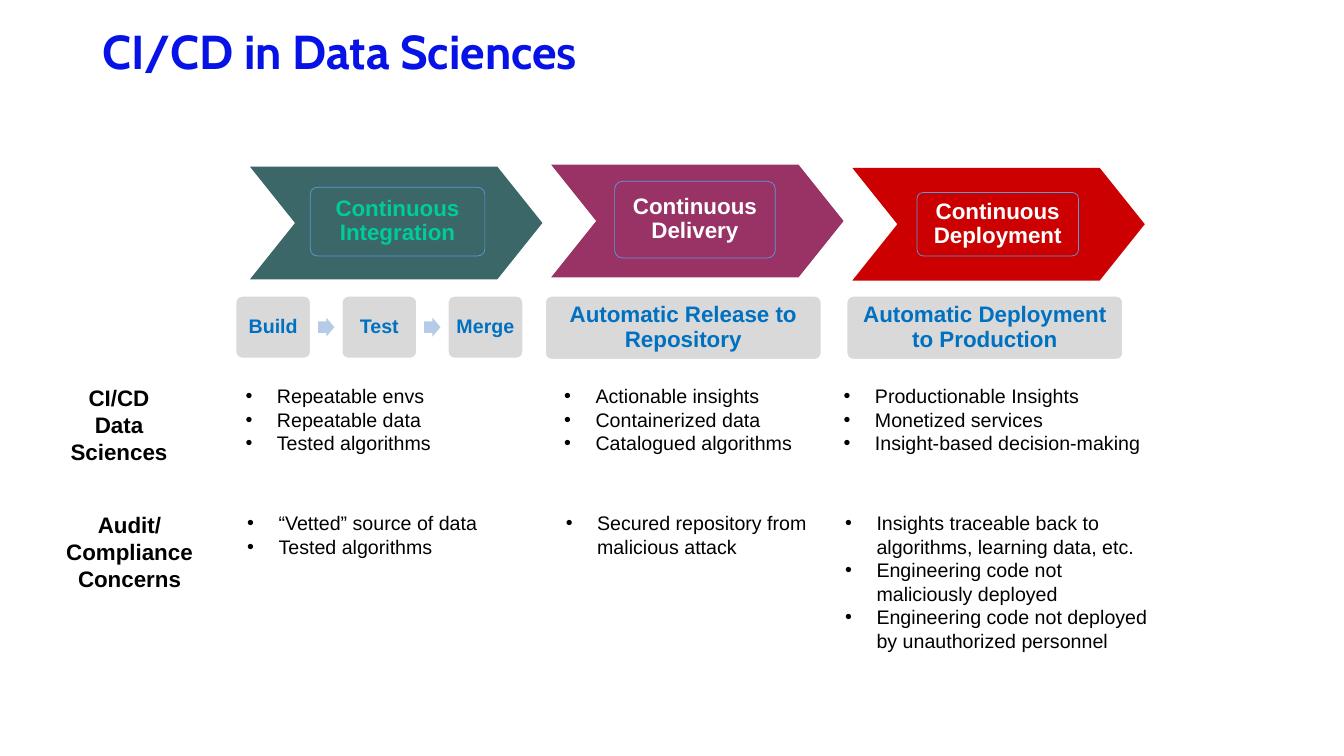
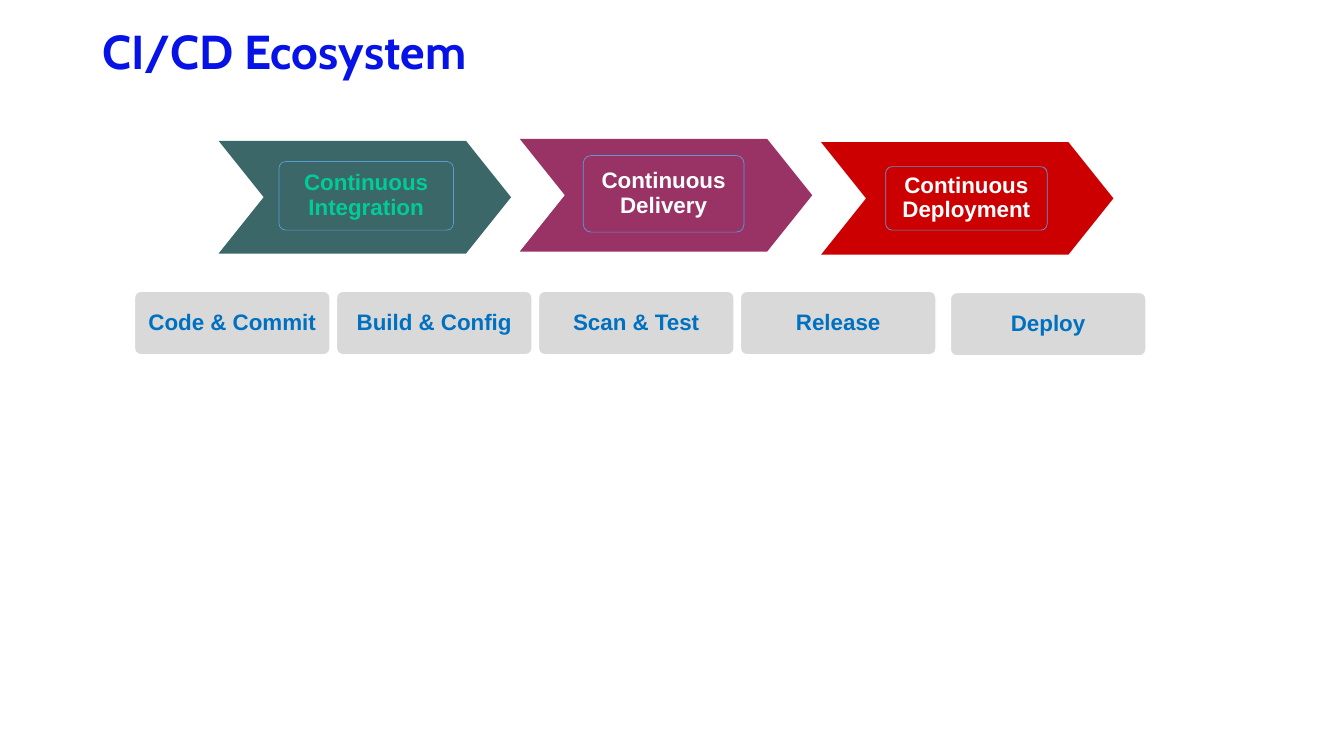
from lxml.etree import SubElement
from pptx import Presentation
from pptx.dml.color import RGBColor
from pptx.enum.shapes import MSO_SHAPE as Preset
from pptx.enum.text import MSO_ANCHOR as Anchor, MSO_AUTO_SIZE as AutoSize, PP_ALIGN as Align
from pptx.oxml.ns import qn
from pptx.util import Cm, Pt

BLACK = RGBColor(0x00, 0x00, 0x00)
WHITE = RGBColor(0xFF, 0xFF, 0xFF)
TITLE_BLUE = RGBColor(0x07, 0x12, 0xE7)
TILE_GREY = RGBColor(0xD9, 0xD9, 0xD9)
TILE_BLUE = RGBColor(0x00, 0x70, 0xC0)
ARROW_BLUE = RGBColor(0xB5, 0xCB, 0xE7)
OUTLINE_BLUE = RGBColor(0x5B, 0x9B, 0xD5)
TEAL = RGBColor(0x3B, 0x67, 0x69)
MINT = RGBColor(0x00, 0xCC, 0x99)
PLUM = RGBColor(0x99, 0x33, 0x66)
RED = RGBColor(0xCC, 0x00, 0x00)

TITLE_FONT, TEXT_FONT = "Cabin", "Arial"
CHEVRON_WIDTH, CHEVRON_HEIGHT, CHEVRON_PITCH = 7.37, 2.84, 7.59
TILE_HEIGHT = 1.6

PHASES = [
    ("Continuous Integration", TEAL, MINT, 0.05, (1.52, 0.52, 4.4, 1.73)),
    ("Continuous Delivery", PLUM, WHITE, 0, (1.6, 0.42, 4.05, 1.93)),
    ("Continuous Deployment", RED, WHITE, 0.08, (1.63, 0.62, 4.07, 1.6)),
]
LIST_COLUMNS = [(5.94, 7.24), (13.97, 7.24), (21.01, 8.43)]
CONCERN_ROWS = [
    ((1.45, 9.55, 3.1, 2.31), ["CI/CD Data Sciences"], 0, [
        ["Repeatable envs", "Repeatable data", "Tested algorithms"],
        ["Actionable insights", "Containerized data", "Catalogued algorithms"],
        ["Productionable Insights", "Monetized services", "Insight-based decision-making"],
    ]),
    ((1.4, 12.75, 3.73, 2.31), ["Audit/ Compliance", "Concerns"], 0.04, [
        ["“Vetted” source of data", "Tested algorithms"],
        ["Secured repository from malicious attack"],
        ["Insights traceable back to algorithms, learning data, etc.",
         "Engineering code not maliciously deployed",
         "Engineering code not deployed by unauthorized personnel"],
    ]),
]
ECOSYSTEM_STAGES = ["Code & Commit", "Build & Config", "Scan & Test", "Release", "Deploy"]


def add_span(para, text, size, color, bold=False, font=TEXT_FONT):
    """Add one formatted run to a paragraph."""
    span = para.add_run()
    span.text = text
    span.font.name, span.font.size, span.font.bold = font, Pt(size), bold
    span.font.color.rgb = color


def add_preset(slide, preset, box, fill, adjustments, line=None, line_width=1):
    """Add a flat preset shape in a box of centimetres."""
    shape = slide.shapes.add_shape(preset, *map(Cm, box))
    shape.shadow.inherit = False
    for index, value in enumerate(adjustments):
        shape.adjustments[index] = value
    shape.fill.solid()
    shape.fill.fore_color.rgb = fill
    if line is None:
        shape.line.fill.background()
    else:
        shape.line.color.rgb = line
        shape.line.width = Pt(line_width)
    return shape


def add_caption(shape, text, color, size, inset):
    """Centre bold text inside a shape."""
    frame = shape.text_frame
    frame.word_wrap = True
    frame.vertical_anchor = Anchor.MIDDLE
    frame.margin_left = frame.margin_right = Cm(inset)
    frame.margin_top = frame.margin_bottom = Cm(inset)
    para = frame.paragraphs[0]
    para.alignment = Align.CENTER
    para.line_spacing = 0.9
    add_span(para, text, size, color, bold=True)


def add_tile(slide, box, text, size=16, inset=0.18):
    """Add a grey rounded tile with blue text."""
    tile = add_preset(slide, Preset.ROUNDED_RECTANGLE, box, TILE_GREY, [0.1], WHITE)
    add_caption(tile, text, TILE_BLUE, size, inset)


def add_text(slide, box, lines, size, bold=False, bulleted=False):
    """Add a text box of centred lines or of bullets."""
    frame = slide.shapes.add_textbox(*map(Cm, box)).text_frame
    frame.word_wrap = True
    for index, line in enumerate(lines):
        para = frame.add_paragraph() if index else frame.paragraphs[0]
        if bulleted:
            properties = para._p.get_or_add_pPr()
            properties.set("marL", str(Cm(0.79)))
            properties.set("indent", str(-Cm(0.79)))
            SubElement(properties, qn("a:buFont"), typeface=TEXT_FONT)
            SubElement(properties, qn("a:buChar"), char="•")
        else:
            para.alignment = Align.CENTER
        add_span(para, line, size, BLACK, bold)


def add_titled_slide(deck, text):
    """Add a slide with the shared title style."""
    slide = deck.slides.add_slide(deck.slide_layouts[5])
    title = slide.shapes.title
    title.left, title.top, title.width, title.height = map(Cm, (2.33, 0.6, 29.21, 2.77))
    frame = title.text_frame
    frame.auto_size = AutoSize.NONE
    frame.vertical_anchor = Anchor.TOP
    para = frame.paragraphs[0]
    para.alignment = Align.LEFT
    para.line_spacing = 0.9
    add_span(para, text, 34, TITLE_BLUE, True, TITLE_FONT)
    return slide


def add_phase_banner(slide, left, top):
    """Add the three phase chevrons with their framed labels."""
    for index, (text, fill, color, drop, label_box) in enumerate(PHASES):
        x, y = left + index * CHEVRON_PITCH, top + drop
        add_preset(slide, Preset.CHEVRON, (x, y, CHEVRON_WIDTH, CHEVRON_HEIGHT), fill, [0.4])
        dx, dy, width, height = label_box
        label = add_preset(slide, Preset.ROUNDED_RECTANGLE, (x + dx, y + dy, width, height),
                           fill, [0.1], OUTLINE_BLUE, 0.5)
        tint = label._element.spPr.find(qn("a:solidFill"))[0]
        SubElement(tint, qn("a:alpha"), val="90000")
        add_caption(label, text, color, 16, 0.3)


def add_integration_steps(slide, left, top, width, height):
    """Add the build, test and merge tiles joined by block arrows."""
    steps = ["Build", "Test", "Merge"]
    tile_width, arrow_width, arrow_height = 1.89, 0.41, 0.48
    gap = (width - len(steps) * tile_width) / (len(steps) - 1)
    for index, step in enumerate(steps):
        x = left + index * (tile_width + gap)
        add_tile(slide, (x, top, tile_width, height), step, 14, 0.12)
        if index:
            arrow_box = (x - (gap + arrow_width) / 2, top + (height - arrow_height) / 2,
                         arrow_width, arrow_height)
            add_preset(slide, Preset.RIGHT_ARROW, arrow_box, ARROW_BLUE, [0.6, 0.5])


def add_concern_row(slide, label_box, label, shift, lists):
    """Add a row heading and its three bulleted lists."""
    add_text(slide, label_box, label, 16, bold=True)
    for (left, width), items in zip(LIST_COLUMNS, lists):
        box = (left + shift, label_box[1], width, 2.06)
        add_text(slide, box, items, 14, bulleted=True)


def add_ecosystem_stages(slide, left, top):
    """Add the row of stage tiles, the last one set slightly apart."""
    for index, stage in enumerate(ECOSYSTEM_STAGES):
        apart = stage == ECOSYSTEM_STAGES[-1]
        x = left + index * 5.09 + (0.2 if apart else 0)
        y = top + (0.03 if apart else 0)
        add_tile(slide, (x, y, 4.93, TILE_HEIGHT), stage)


def build_data_sciences(deck):
    """Build the slide on CI/CD in data sciences."""
    slide = add_titled_slide(deck, "CI/CD in Data Sciences")
    add_phase_banner(slide, 6.3, 4.15)
    add_integration_steps(slide, 5.94, 7.46, 7.24, 1.57)
    add_tile(slide, (13.74, 7.46, 6.96, TILE_HEIGHT), "Automatic Release to Repository")
    add_tile(slide, (21.34, 7.46, 6.96, TILE_HEIGHT), "Automatic Deployment to Production")
    for row in CONCERN_ROWS:
        add_concern_row(slide, *row)


def build_ecosystem(deck):
    """Build the slide on the CI/CD ecosystem."""
    slide = add_titled_slide(deck, "CI/CD Ecosystem")
    add_phase_banner(slide, 5.51, 3.5)
    add_ecosystem_stages(slide, 3.39, 7.34)


def main():
    """Build and save the deck."""
    deck = Presentation()
    deck.slide_width, deck.slide_height = Cm(33.87), Cm(19.05)
    build_data_sciences(deck)
    build_ecosystem(deck)
    deck.save("out.pptx")


if __name__ == "__main__":
    main()
